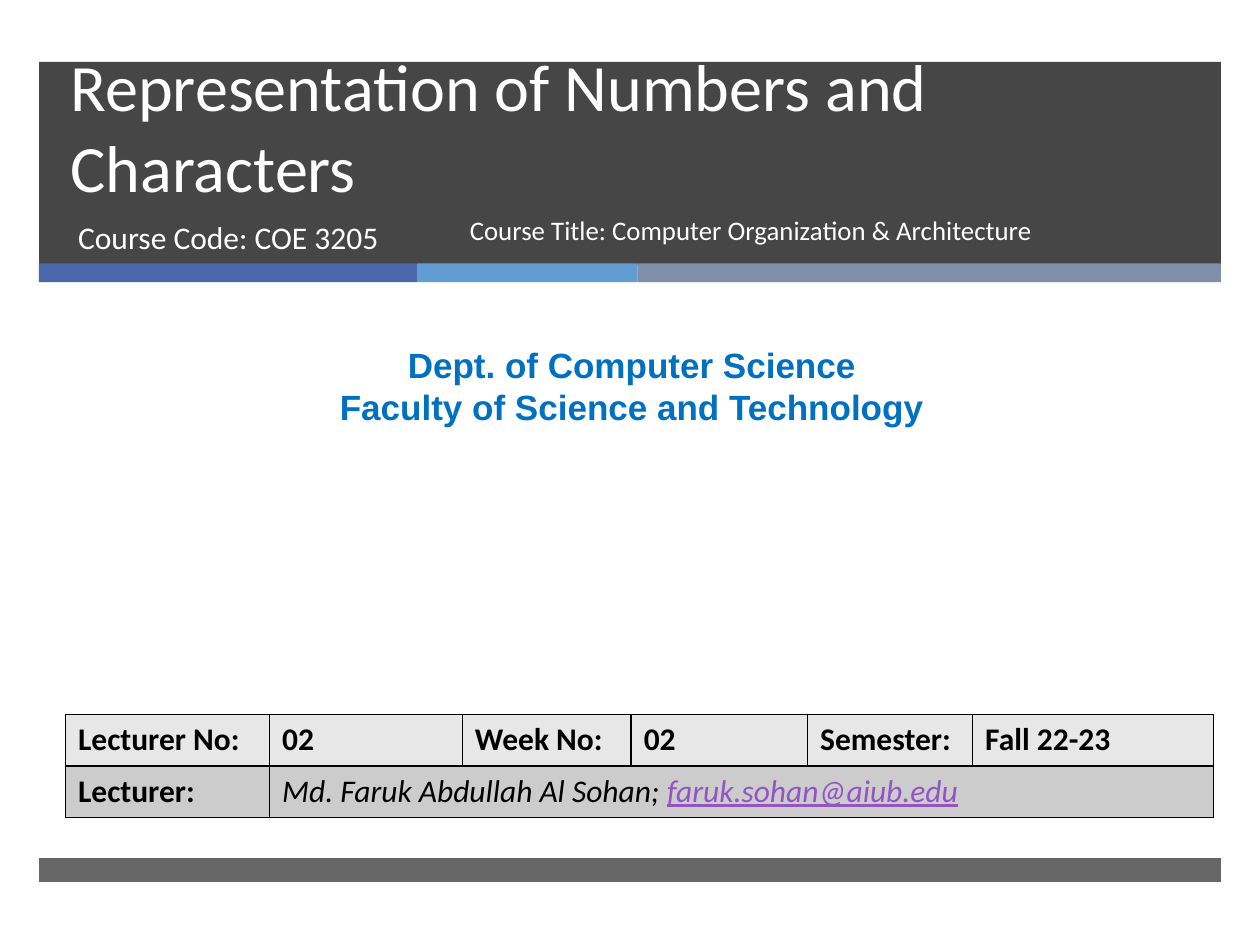
import pptx
import pptx.dml.color
import pptx.enum.shapes
import pptx.enum.text
import pptx.oxml
import pptx.oxml.ns
import pptx.util
from pptx.util import Inches


def color(value):
    return pptx.dml.color.RGBColor.from_string(value)


class CourseSlide:
    heading_font = "Arial"
    body_font = "Calibri"
    white = "FFFFFF"
    black = "000000"
    dark = "262626"

    def __init__(self, deck):
        self.page = deck.slides.add_slide(deck.slide_layouts[0])

    def format_run(self, span, size, value, font=body_font, bold=False, italic=False, underline=False):
        span.font.size = pptx.util.Pt(size)
        span.font.color.rgb = color(value)
        span.font.name = font
        span.font.bold = bold
        span.font.italic = italic
        span.font.underline = underline

    def bar(self, left, top, width, height, fill, opacity=100):
        box = self.page.shapes.add_shape(
            pptx.enum.shapes.MSO_SHAPE.RECTANGLE,
            Inches(left), Inches(top), Inches(width), Inches(height))
        box.shadow.inherit = False
        box.fill.solid()
        box.fill.fore_color.rgb = color(fill)
        box.line.fill.background()
        if opacity < 100:
            shade = box.fill._xPr.find(".//" + pptx.oxml.ns.qn("a:srgbClr"))
            shade.append(pptx.oxml.parse_xml(
                f'<a:alpha {pptx.oxml.ns.nsdecls("a")} val="{opacity * 1000}"/>'))

    def fill_text(self, box, text, size, value, align="LEFT", anchor="TOP", spacing=None, **style):
        frame = box.text_frame
        frame.word_wrap = True
        frame.auto_size = pptx.enum.text.MSO_AUTO_SIZE.NONE
        frame.vertical_anchor = pptx.enum.text.MSO_ANCHOR[anchor]
        frame.text = text
        for para in frame.paragraphs:
            para.alignment = pptx.enum.text.PP_ALIGN[align]
            para.space_before = pptx.util.Pt(0)
            if spacing:
                para.line_spacing = spacing
            for span in para.runs:
                self.format_run(span, size, value, **style)

    def placeholder(self, index, left, top, width, height, text, size, **style):
        box = self.page.placeholders[index]
        box.left, box.top = Inches(left), Inches(top)
        box.width, box.height = Inches(width), Inches(height)
        self.page.shapes._spTree.append(box._element)
        self.fill_text(box, text, size, self.white, **style)

    def text(self, left, top, width, height, text, size, value, **style):
        box = self.page.shapes.add_textbox(
            Inches(left), Inches(top), Inches(width), Inches(height))
        self.fill_text(box, text, size, value, **style)

    def style_cell(self, cell, fill):
        properties = cell._tc.get_or_add_tcPr()
        for side in ("lnL", "lnR", "lnT", "lnB"):
            properties.append(pptx.oxml.parse_xml(
                f'<a:{side} {pptx.oxml.ns.nsdecls("a")} w="12700"><a:solidFill>'
                f'<a:srgbClr val="{self.black}"/></a:solidFill></a:{side}>'))
        cell.fill.solid()
        cell.fill.fore_color.rgb = color(fill)

    def table(self, left, top, widths, row_height, rows, fills):
        grid = self.page.shapes.add_table(
            len(rows), len(widths), Inches(left), Inches(top),
            Inches(sum(widths)), Inches(row_height * len(rows))).table
        for column, width in zip(grid.columns, widths):
            column.width = Inches(width)
        for row_index, (row, fill) in enumerate(zip(rows, fills)):
            grid.rows[row_index].height = Inches(row_height)
            for column_index in range(len(widths)):
                self.style_cell(grid.cell(row_index, column_index), fill)
            for column_index, spans in enumerate(row):
                para = grid.cell(row_index, column_index).text_frame.paragraphs[0]
                for text, style in spans:
                    span = para.add_run()
                    span.text = text
                    self.format_run(span, 18, **style)
            if len(row) < len(widths):
                grid.cell(row_index, len(row) - 1).merge(grid.cell(row_index, len(widths) - 1))


def main():
    deck = pptx.Presentation()
    deck.slide_width, deck.slide_height = Inches(10), Inches(7.5)
    slide = CourseSlide(deck)

    slide.bar(0.31, 0.49, 9.38, 1.61, slide.dark, opacity=85)
    left = 0.31
    for width, fill in ((3, "4A66AC"), (1.75, "629DD1"), (4.63, "7F8FA9")):
        slide.bar(left, 2.09, width, 0.15, fill)
        left += width
    slide.bar(0.31, 6.81, 9.38, 0.19, slide.dark, opacity=70)

    slide.placeholder(0, 0.46, 0.49, 8.54, 1.19, "Representation of Numbers and Characters",
                      37.8, anchor="BOTTOM", spacing=pptx.util.Pt(46))
    slide.placeholder(1, 0.52, 1.68, 3.05, 0.53, "Course Code: COE 3205", 18)
    slide.text(0.08, 2.68, 9.87, 0.77,
               "Dept. of Computer Science\nFaculty of Science and Technology",
               20, "0070C0", align="CENTER", font=slide.heading_font, bold=True)

    label = {"value": slide.black, "bold": True}
    name = {"value": slide.black, "italic": True}
    email = {"value": "9454C3", "italic": True, "underline": True}
    session = ("Lecturer No:", "02", "Week No:", "02", "Semester:", "Fall 22-23")
    rows = [
        [[(text, label)] for text in session],
        [[("Lecturer:", label)],
         [("Md. Faruk Abdullah Al Sohan; ", name), ("faruk.sohan@aiub.edu", email)]],
    ]
    slide.table(0.52, 5.67, (1.62, 1.53, 1.34, 1.4, 1.31, 1.91), 0.41, rows, ("E7E7E7", "CCCCCC"))

    slide.text(3.63, 1.68, 4.69, 0.53, "Course Title: Computer Organization & Architecture",
               15.3, slide.white, spacing=0.9)
    deck.save("out.pptx")


if __name__ == "__main__":
    main()
